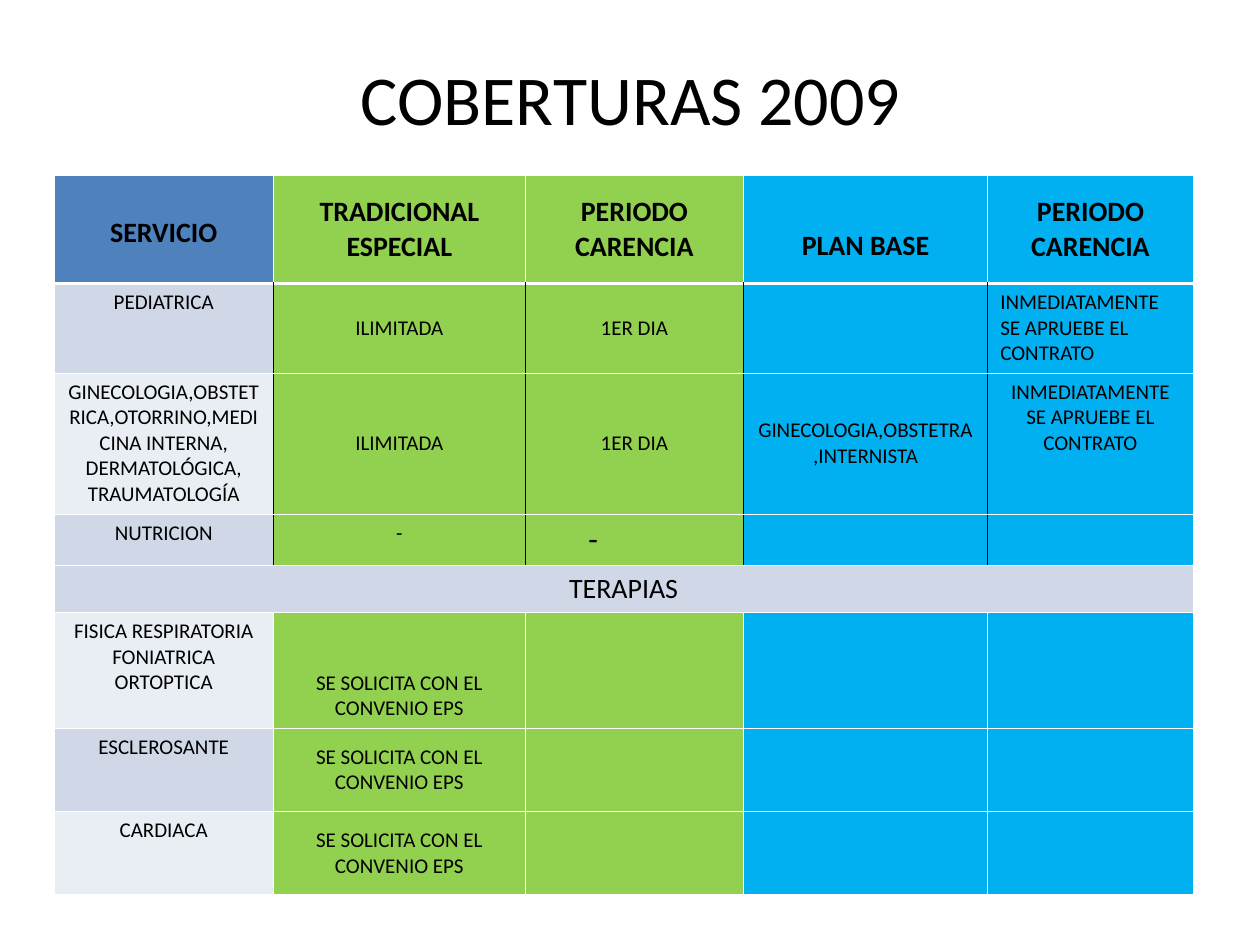
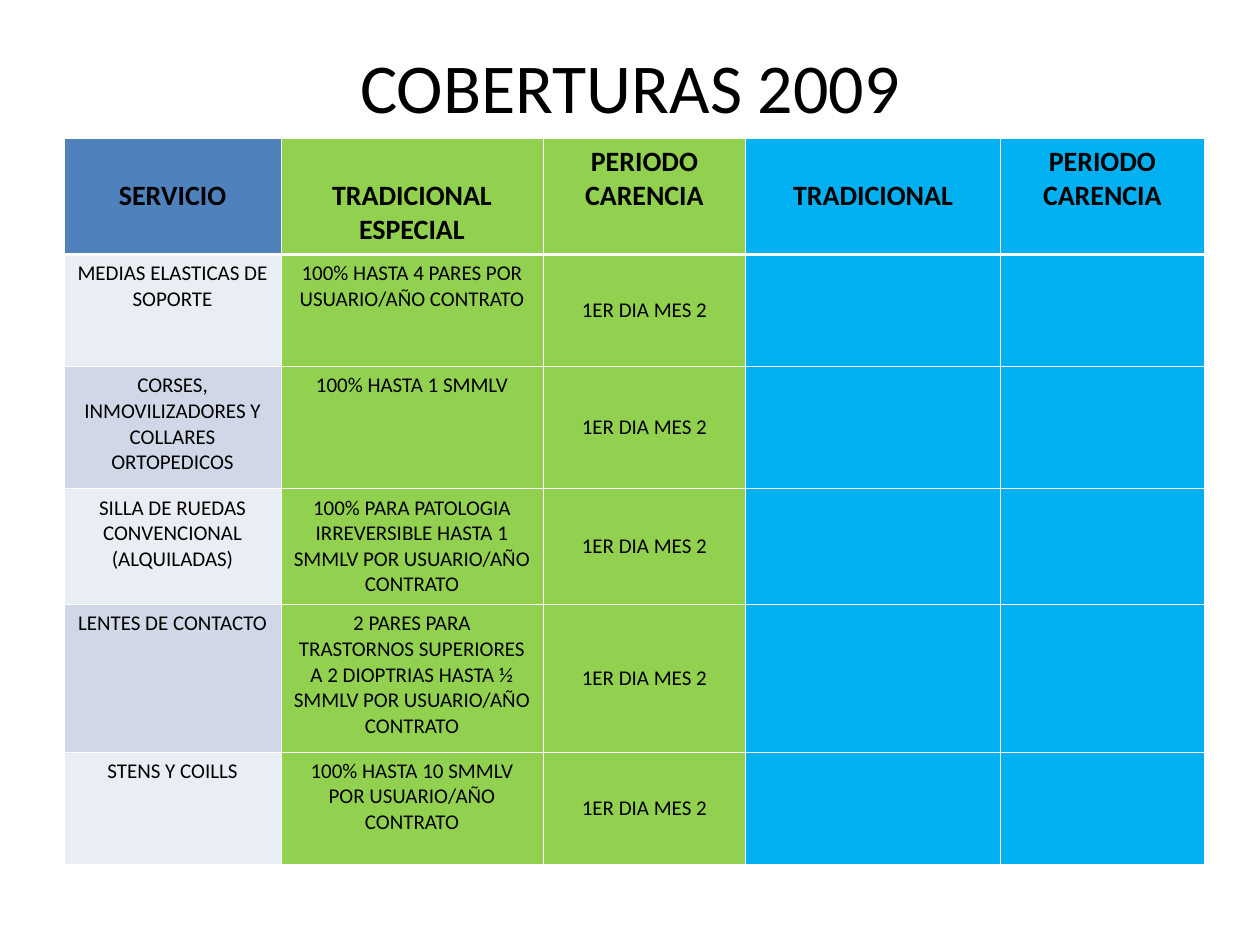
from lxml.etree import SubElement
from pptx import Presentation
from pptx.dml.color import RGBColor
from pptx.enum.text import MSO_ANCHOR as Anchor, PP_ALIGN as Align
from pptx.oxml.ns import qn
from pptx.util import Inches, Pt

COLORS = {
    "text": "000000", "rule": "FFFFFF", "divider": "000000",
    "service": "4F81BD", "special": "92D050", "plan": "00B0F0",
    "dark": "D0D8E8", "light": "E9EDF4",
}
COLUMN_COLORS = ["service", "special", "special", "plan", "plan"]
GRID_COLUMNS, GRID_ROWS = 100, 75
TITLE = "COBERTURAS 2009"
WAITING = "PERIODO CARENCIA"
THIN, THICK = 0.45, 1.47
PADDING, HEADER_DROP = 0.05, 0.32


def apply(target, values):
    for name, value in values.items():
        setattr(target, name, value)


class CoverageDeck:
    def __init__(self):
        self.deck = Presentation()
        apply(self.deck, {"slide_width": Inches(10), "slide_height": Inches(7.5)})
        self.page = None

    def across(self, columns):
        return round(self.deck.slide_width * columns / GRID_COLUMNS)

    def down(self, rows):
        return round(self.deck.slide_height * rows / GRID_ROWS)

    def add_text(self, para, text, size, bold=False, align=Align.CENTER):
        para.alignment = align
        span = para.add_run()
        span.text = text
        apply(span.font, {"name": "Calibri", "size": Pt(size), "bold": bold})
        span.font.color.rgb = RGBColor.from_string(COLORS["text"])

    def add_page(self, left, top, width, height):
        self.page = self.deck.slides.add_slide(self.deck.slide_layouts[5])
        title = self.page.shapes.title
        apply(title, {
            "left": self.across(left), "top": self.down(top),
            "width": self.across(width), "height": self.down(height),
        })
        title.text_frame.vertical_anchor = Anchor.MIDDLE
        self.add_text(title.text_frame.paragraphs[0], TITLE, 40)

    def fill(self, cell, color):
        cell.fill.solid()
        cell.fill.fore_color.rgb = RGBColor.from_string(COLORS[color])

    def border(self, cell, sides):
        properties = cell._tc.get_or_add_tcPr()
        for index, (side, (color, weight)) in enumerate(sides.items()):
            line = SubElement(properties, qn(f"a:ln{side}"), w=str(Pt(weight)))
            solid = SubElement(line, qn("a:solidFill"))
            SubElement(solid, qn("a:srgbClr"), val=COLORS[color])
            properties.insert(index, line)

    def add_table(self, left, top, widths, heights, rows, light_rows,
                  divided_rows=(), merged_row=None, formats=None):
        frame = self.page.shapes.add_table(
            len(rows), len(widths), self.across(left), self.down(top),
            self.across(sum(widths)), self.down(sum(heights)))
        table = frame.table
        apply(table, {"first_row": False, "horz_banding": False})
        for column, width in zip(table.columns, widths):
            column.width = self.across(width)
        for row, height in zip(table.rows, heights):
            row.height = self.down(height)
        last = len(widths) - 1
        for r, texts in enumerate(rows):
            for c, column_color in enumerate(COLUMN_COLORS):
                cell = table.cell(r, c)
                banded = r and (c == 0 or r == merged_row)
                band = "light" if r in light_rows else "dark"
                self.fill(cell, band if banded else column_color)
                inner = "divider" if r in divided_rows else "rule"
                self.border(cell, {
                    "L": (inner if c else "rule", THIN),
                    "R": (inner if c < last else "rule", THIN),
                    "T": ("rule", THICK if r == 1 else THIN),
                    "B": ("rule", THIN if r else THICK),
                })
                style = {"size": 12 if r else 16, "align": Align.CENTER,
                         "anchor": Anchor.MIDDLE if c else Anchor.TOP,
                         "above": PADDING, "before": 0.1}
                style.update((formats or {}).get((r, c), {}))
                apply(cell, {
                    "vertical_anchor": style["anchor"],
                    "margin_top": Inches(style["above"]),
                    "margin_bottom": Inches(PADDING),
                    "margin_left": Inches(style["before"]),
                    "margin_right": Inches(0.1),
                })
                if c < len(texts) and texts[c]:
                    self.add_text(cell.text_frame.paragraphs[0], texts[c],
                                  style["size"], r == 0, style["align"])
        if merged_row is not None:
            table.cell(merged_row, 0).merge(table.cell(merged_row, last))


def add_services(coverage):
    unlimited = ["ILIMITADA", "1ER DIA"]
    on_approval = "INMEDIATAMENTE SE APRUEBE EL CONTRATO"
    on_request = "SE SOLICITA CON EL CONVENIO EPS"
    coverage.add_page(8.3, 4.7, 83.5, 6)
    coverage.add_table(
        4.3, 13.9, [17.4, 20, 17.3, 19.4, 16.3],
        [8.6, 7.1, 11.2, 4.1, 3.7, 9.2, 6.6, 6.6],
        [
            ["SERVICIO", "TRADICIONAL ESPECIAL", WAITING, "PLAN BASE", WAITING],
            ["PEDIATRICA", *unlimited, "", on_approval],
            ["GINECOLOGIA,OBSTETRICA,OTORRINO,MEDICINA INTERNA, "
             "DERMATOLÓGICA, TRAUMATOLOGÍA", *unlimited,
             "GINECOLOGIA,OBSTETRA,INTERNISTA", on_approval],
            ["NUTRICION", "-", "-"],
            ["TERAPIAS"],
            ["FISICA RESPIRATORIA FONIATRICA ORTOPTICA", on_request],
            ["ESCLEROSANTE", on_request],
            ["CARDIACA", on_request],
        ],
        light_rows={2, 5, 7}, divided_rows={1, 2, 3}, merged_row=4,
        formats={
            (0, 0): {"above": HEADER_DROP},
            (0, 3): {"above": HEADER_DROP},
            (1, 4): {"align": Align.LEFT},
            (2, 4): {"anchor": Anchor.TOP},
            (3, 1): {"anchor": Anchor.TOP},
            (3, 2): {"anchor": Anchor.TOP, "align": Align.LEFT,
                     "size": 18, "before": 0.5},
            (4, 0): {"size": 16},
            (5, 1): {"above": 0.45},
        })


def add_supplies(coverage):
    supplies = {
        "MEDIAS ELASTICAS DE SOPORTE":
            "100% HASTA 4 PARES POR USUARIO/AÑO CONTRATO",
        "CORSES, INMOVILIZADORES Y COLLARES ORTOPEDICOS":
            "100% HASTA 1 SMMLV",
        "SILLA DE RUEDAS CONVENCIONAL (ALQUILADAS)":
            "100% PARA PATOLOGIA IRREVERSIBLE HASTA 1 SMMLV "
            "POR USUARIO/AÑO CONTRATO",
        "LENTES DE CONTACTO":
            "2 PARES PARA TRASTORNOS SUPERIORES A 2 DIOPTRIAS HASTA ½ SMMLV "
            "POR USUARIO/AÑO CONTRATO",
        "STENS Y COILLS":
            "100% HASTA 10 SMMLV POR USUARIO/AÑO CONTRATO",
    }
    header = ["SERVICIO", "TRADICIONAL ESPECIAL", WAITING, "TRADICIONAL", WAITING]
    formats = {(r, 1): {"anchor": Anchor.TOP} for r in range(1, 6)}
    for c, text in enumerate(header):
        above = PADDING if text == WAITING else HEADER_DROP
        formats[0, c] = {"anchor": Anchor.TOP, "above": above}
    coverage.add_page(7.5, 3.6, 85, 6.3)
    coverage.add_table(
        5.1, 11, [17.2, 20.8, 16.1, 20.2, 16.2],
        [9.2, 8.9, 9.7, 9.2, 11.7, 8.9],
        [header] + [[*item, "1ER DIA MES 2"] for item in supplies.items()],
        light_rows={1, 3, 5}, formats=formats)


def main():
    coverage = CoverageDeck()
    add_services(coverage)
    add_supplies(coverage)
    coverage.deck.save("out.pptx")


if __name__ == "__main__":
    main()
